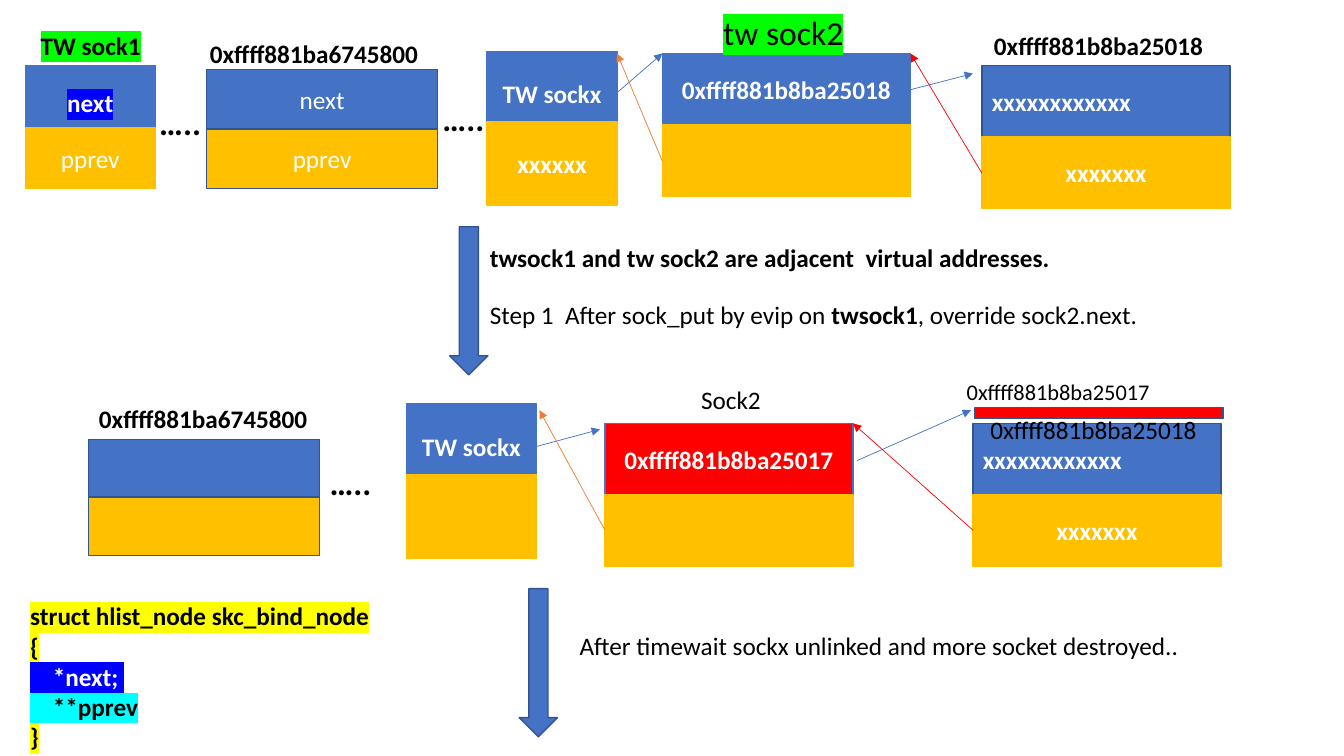
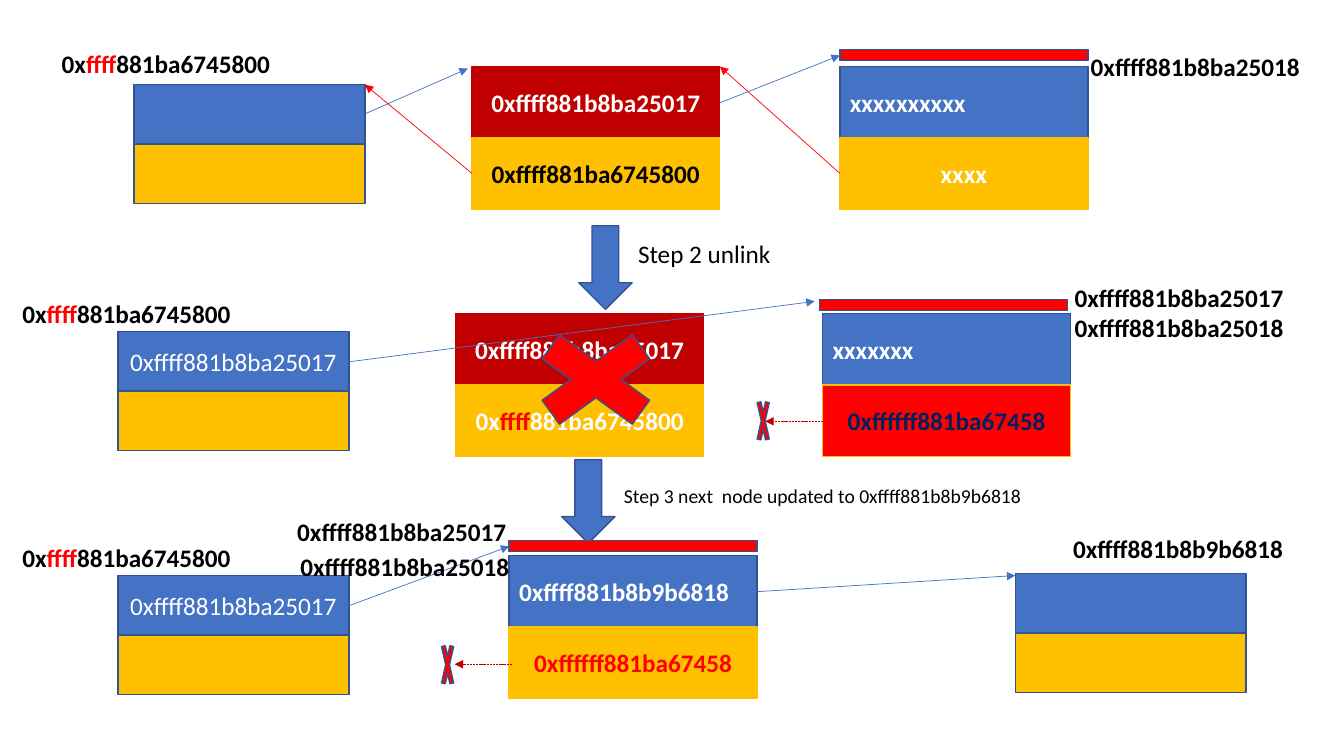
from dataclasses import dataclass

from lxml.etree import SubElement
from pptx import Presentation
from pptx.dml.color import RGBColor
from pptx.enum.dml import MSO_LINE
from pptx.enum.shapes import MSO_CONNECTOR, MSO_SHAPE
from pptx.enum.text import MSO_ANCHOR, MSO_AUTO_SIZE, PP_ALIGN
from pptx.oxml.ns import qn
from pptx.util import Inches, Pt

COLORS = {
    "blue": "4472C4", "outline": "325491", "gold": "FFC000", "red": "FF0000",
    "dark red": "C00000", "orange": "ED7D31", "navy": "002060",
    "white": "FFFFFF", "black": "000000", "lime": "00FF00",
    "yellow": "FFFF00", "cyan": "00FFFF", "pure blue": "0000FF",
}
FONT = "Calibri"
LEFT, CENTER = PP_ALIGN.LEFT, PP_ALIGN.CENTER


@dataclass(frozen=True)
class Run:
    text: str
    color: str = "black"
    bold: bool = True
    highlight: str | None = None


Line = tuple[Run, ...]


@dataclass(frozen=True)
class Cell:
    line: Line = ()
    fill: str = "blue"
    border: str = "outline"
    align: PP_ALIGN = CENTER


@dataclass(frozen=True)
class NodeSize:
    width: float
    next_height: float
    pprev_height: float
    pitch: float


@dataclass(frozen=True)
class Node:
    left: float
    top: float
    size: NodeSize
    next: Cell
    pprev: Cell


@dataclass(frozen=True)
class Figure:
    preset: MSO_SHAPE
    left: float
    top: float
    width: float
    height: float
    fill: str = "blue"


@dataclass(frozen=True)
class Link:
    start: tuple[float, float]
    end: tuple[float, float]
    color: str = "blue"
    dashed: bool = False


@dataclass(frozen=True)
class Label:
    left: float
    top: float
    width: float
    lines: tuple[Line, ...]
    align: PP_ALIGN = CENTER
    size: int = 18
    height: float = 0.4


@dataclass(frozen=True)
class Diagram:
    nodes: tuple[Node, ...]
    links: tuple[Link, ...]
    figures: tuple[Figure, ...]
    labels: tuple[Label, ...]


def rgb(name: str) -> RGBColor:
    return RGBColor.from_string(COLORS[name])


def write_lines(text_frame, lines: tuple[Line, ...], align: PP_ALIGN, size: int) -> None:
    for index, line in enumerate(lines):
        paragraph = text_frame.add_paragraph() if index else text_frame.paragraphs[0]
        paragraph.alignment = align
        for part in line:
            run = paragraph.add_run()
            run.text = part.text
            run.font.name, run.font.size, run.font.bold = FONT, Pt(size), part.bold
            run.font.color.rgb = rgb(part.color)
            if part.highlight:
                properties = run._r.get_or_add_rPr()
                highlight = SubElement(properties, qn("a:highlight"))
                SubElement(highlight, qn("a:srgbClr"), val=COLORS[part.highlight])
                properties.find(qn("a:solidFill")).addnext(highlight)


def draw_figure(slide, figure: Figure, border: str = "outline"):
    shape = slide.shapes.add_shape(
        figure.preset, Inches(figure.left), Inches(figure.top),
        Inches(figure.width), Inches(figure.height))
    shape.shadow.inherit = False
    shape.fill.solid()
    shape.fill.fore_color.rgb = rgb(figure.fill)
    shape.line.color.rgb = rgb(border)
    shape.line.width = Pt(1)
    return shape


def draw_node(slide, node: Node) -> None:
    size = node.size
    rows = ((node.next, node.top, size.next_height),
            (node.pprev, node.top + size.pitch, size.pprev_height))
    for cell, top, height in rows:
        shape = draw_figure(slide, Figure(
            MSO_SHAPE.RECTANGLE, node.left, top, size.width, height, cell.fill), cell.border)
        if cell.line:
            shape.text_frame.vertical_anchor = MSO_ANCHOR.MIDDLE
            write_lines(shape.text_frame, (cell.line,), cell.align, 18)


def draw_link(slide, link: Link) -> None:
    points = [Inches(value) for value in link.start + link.end]
    connector = slide.shapes.add_connector(MSO_CONNECTOR.STRAIGHT, *points)
    connector.line.color.rgb = rgb(link.color)
    connector.line.width = Pt(0.5)
    if link.dashed:
        connector.line.dash_style = MSO_LINE.SQUARE_DOT
    properties = connector._element.spPr
    SubElement(properties.find(qn("a:ln")), qn("a:tailEnd"), type="triangle")
    SubElement(properties, qn("a:effectLst"))


def draw_label(slide, label: Label) -> None:
    box = slide.shapes.add_textbox(
        Inches(label.left), Inches(label.top), Inches(label.width), Inches(label.height))
    box.text_frame.word_wrap = False
    box.text_frame.auto_size = MSO_AUTO_SIZE.SHAPE_TO_FIT_TEXT
    write_lines(box.text_frame, label.lines, label.align, label.size)


def draw_diagram(presentation, diagram: Diagram) -> None:
    slide = presentation.slides.add_slide(presentation.slide_layouts[6])
    for node in diagram.nodes:
        draw_node(slide, node)
    for link in diagram.links:
        draw_link(slide, link)
    for figure in diagram.figures:
        draw_figure(slide, figure)
    for label in diagram.labels:
        draw_label(slide, label)


def white(text: str, bold: bool = True) -> Line:
    return (Run(text, "white", bold),)


def blue_cell(text: str) -> Cell:
    return Cell(white(text), align=LEFT)


def plain_blue(line: Line = ()) -> Cell:
    return Cell(line, border="blue")


def gold_cell(line: Line = ()) -> Cell:
    return Cell(line, "gold", "gold")


def misaligned_bar(left: float, top: float) -> Figure:
    """Thin strip marking the address one byte before a node."""
    return Figure(MSO_SHAPE.RECTANGLE, left, top, 2.46, 0.11, "red")


def down_arrow(left: float, top: float, width: float, height: float) -> Figure:
    return Figure(MSO_SHAPE.DOWN_ARROW, left, top, width, height)


def cross(left: float, top: float, width: float = 0.16, height: float = 0.71) -> Figure:
    return Figure(MSO_SHAPE.MATH_MULTIPLY, left, top, width, height, "red")


def address(left: float, top: float, text: str, bold: bool = True, size: int = 18) -> Label:
    return Label(left, top, 2.31, ((Run(text, bold=bold),),), size=size)


def marked_line(color: str) -> Line:
    return Run("0x", color), Run("ffff", "red"), Run("881ba6745800", color)


def marked_address(left: float, top: float) -> Label:
    return Label(left, top, 2.31, (marked_line("black"),))


def dots(left: float, top: float) -> Label:
    return Label(left, top, 0.62, ((Run("….."),),), LEFT, 24, 0.5)


def note(left: float, top: float, width: float, *runs: Run, size: int = 18) -> Label:
    return Label(left, top, width, (runs,), LEFT, size)


WIDE = NodeSize(2.46, 0.71, 0.71, 0.71)
MEDIUM = NodeSize(2.29, 0.59, 0.59, 0.59)
SQUEEZED = NodeSize(2.29, 0.59, 0.58, 0.57)
NARROW = NodeSize(1.29, 0.83, 0.83, 0.7)
SMALL = NodeSize(1.29, 0.74, 0.6, 0.62)

ADDRESS_5800 = "0xffff881ba6745800"
ADDRESS_5017 = "0xffff881b8ba25017"
ADDRESS_5018 = "0xffff881b8ba25018"
ADDRESS_6818 = "0xffff881b8b9b6818"
SHIFTED = "0xffffff881ba67458"

OUTLINED_GOLD = Cell(fill="gold")
FREED_NEXT = Cell(white(ADDRESS_5017), "dark red", "dark red")
REDIRECTED_NEXT = Cell(white(ADDRESS_5017, bold=False))

OVERRIDE = Diagram(
    nodes=(
        Node(0.25, 0.65, SMALL, plain_blue((Run("next", "white", highlight="pure blue"),)),
             gold_cell(white("pprev", bold=False))),
        Node(2.05, 0.69, MEDIUM, Cell(white("next", bold=False)),
             Cell(white("pprev", bold=False), "gold")),
        Node(4.83, 0.51, NARROW, plain_blue(white("TW sockx")), gold_cell(white("xxxxxx"))),
        Node(6.57, 0.53, WIDE, plain_blue(white(ADDRESS_5018)), gold_cell()),
        Node(9.74, 0.65, WIDE, blue_cell("xxxxxxxxxxxx"), gold_cell(white("xxxxxxx"))),
        Node(0.88, 4.36, SQUEEZED, Cell(), OUTLINED_GOLD),
        Node(4.03, 4.01, NARROW, plain_blue(white("TW sockx")), gold_cell()),
        Node(6, 4.2, WIDE, Cell(white(ADDRESS_5017), "red", "blue"), gold_cell()),
        Node(9.65, 4.2, WIDE, blue_cell("xxxxxxxxxxxx"), gold_cell(white("xxxxxxx"))),
    ),
    links=(
        Link((6.12, 0.92), (6.57, 0.53)),
        Link((6.57, 1.6), (6.12, 0.53), "orange"),
        Link((9.03, 0.89), (9.65, 0.73)),
        Link((9.74, 1.72), (9.03, 0.53), "red"),
        Link((5.32, 4.43), (5.95, 4.26)),
        Link((6, 5.26), (5.35, 4.07), "orange"),
        Link((8.5, 4.57), (9.63, 4.07)),
        Link((9.65, 5.26), (8.46, 4.2), "red"),
    ),
    figures=(down_arrow(4.46, 2.25, 0.38, 1.47), down_arrow(5.15, 5.84, 0.38, 1.47),
             misaligned_bar(9.67, 4.04)),
    labels=(
        Label(0.3, 0.25, 1.2, ((Run("TW sock1", highlight="lime"),),)),
        Label(7.05, 0.07, 1.44, ((Run("tw sock2", bold=False, highlight="lime"),),),
              size=24, height=0.5),
        Label(6.85, 3.76, 0.8, ((Run("Sock2", bold=False),),)),
        address(1.96, 0.33, ADDRESS_5800), address(9.74, 0.25, ADDRESS_5018),
        address(0.86, 3.95, ADDRESS_5800), address(9.69, 4.06, ADDRESS_5018, bold=False),
        address(9.34, 3.7, ADDRESS_5017, bold=False, size=16),
        dots(1.48, 0.96), dots(4.29, 0.92), dots(3.17, 4.53),
        note(4.76, 2.35, 5.8, Run("twsock1 and tw sock2 are adjacent  virtual addresses.")),
        note(4.76, 2.92, 6.7, Run("Step 1  After sock_put by evip on ", bold=False),
             Run("twsock1"), Run(", override sock2.next.", bold=False)),
        note(5.65, 6.2, 6.21,
             Run("After timewait sockx unlinked and more socket destroyed..", bold=False)),
        Label(0.2, 5.91, 3.59, (
            (Run("struct hlist_node skc_bind_node", highlight="yellow"),),
            (Run("{", highlight="yellow"),),
            (Run("    *next; ", "white", highlight="pure blue"),),
            (Run("    **pprev", highlight="cyan"),),
            (Run("}", highlight="yellow"),),
        ), LEFT, height=1.62),
    ),
)

UNLINK = Diagram(
    nodes=(
        Node(1.33, 0.84, MEDIUM, Cell(), OUTLINED_GOLD),
        Node(4.68, 0.66, WIDE, FREED_NEXT, gold_cell((Run(ADDRESS_5800),))),
        Node(8.33, 0.66, WIDE, blue_cell("xxxxxxxxxx"), gold_cell(white("xxxx"))),
        Node(1.17, 3.29, MEDIUM, REDIRECTED_NEXT, OUTLINED_GOLD),
        Node(4.52, 3.11, WIDE, FREED_NEXT, gold_cell(marked_line("white"))),
        Node(8.16, 3.11, WIDE, blue_cell("xxxxxxx"),
             Cell((Run(SHIFTED, "navy"),), "red", "gold")),
        Node(1.17, 5.71, MEDIUM, REDIRECTED_NEXT, OUTLINED_GOLD),
        Node(5.05, 5.51, WIDE, blue_cell(ADDRESS_6818), gold_cell((Run(SHIFTED, "red"),))),
        Node(10.07, 5.69, MEDIUM, Cell(), OUTLINED_GOLD),
    ),
    links=(
        Link((3.62, 1.13), (4.64, 0.68)),
        Link((4.68, 1.72), (3.62, 0.84), "red"),
        Link((7.14, 1.02), (8.33, 0.55)),
        Link((8.33, 1.72), (7.14, 0.66), "red"),
        Link((3.46, 3.59), (8.08, 2.99)),
        Link((8.16, 4.18), (7.59, 4.18), "dark red", dashed=True),
        Link((3.46, 6.01), (5.05, 5.42)),
        Link((7.51, 5.87), (10.07, 5.71)),
        Link((5.08, 6.59), (4.51, 6.59), "dark red", dashed=True),
    ),
    figures=(
        down_arrow(5.74, 2.24, 0.53, 0.83), down_arrow(5.57, 4.56, 0.53, 0.83),
        cross(5.05, 3.14, 1.72, 1.25), cross(7.49, 3.82), cross(4.36, 6.24),
        misaligned_bar(8.33, 0.49), misaligned_bar(8.13, 2.97), misaligned_bar(5.05, 5.36),
    ),
    labels=(
        marked_address(0.49, 0.43), marked_address(0.1, 2.91), marked_address(0.1, 5.33),
        address(10.7, 0.46, ADDRESS_5018),
        address(10.54, 2.75, ADDRESS_5017), address(10.54, 3.05, ADDRESS_5018),
        address(2.83, 5.07, ADDRESS_5017), address(2.86, 5.42, ADDRESS_5018),
        address(10.53, 5.24, ADDRESS_6818),
        note(6.23, 2.32, 1.53, Run("Step 2 unlink", bold=False)),
        note(6.09, 4.75, 4.44,
             Run("Step 3 next  node updated to " + ADDRESS_6818, bold=False), size=14),
    ),
)


def main() -> None:
    presentation = Presentation()
    presentation.slide_width, presentation.slide_height = Inches(13.33), Inches(7.5)
    for diagram in (OVERRIDE, UNLINK):
        draw_diagram(presentation, diagram)
    presentation.save("out.pptx")


if __name__ == "__main__":
    main()
